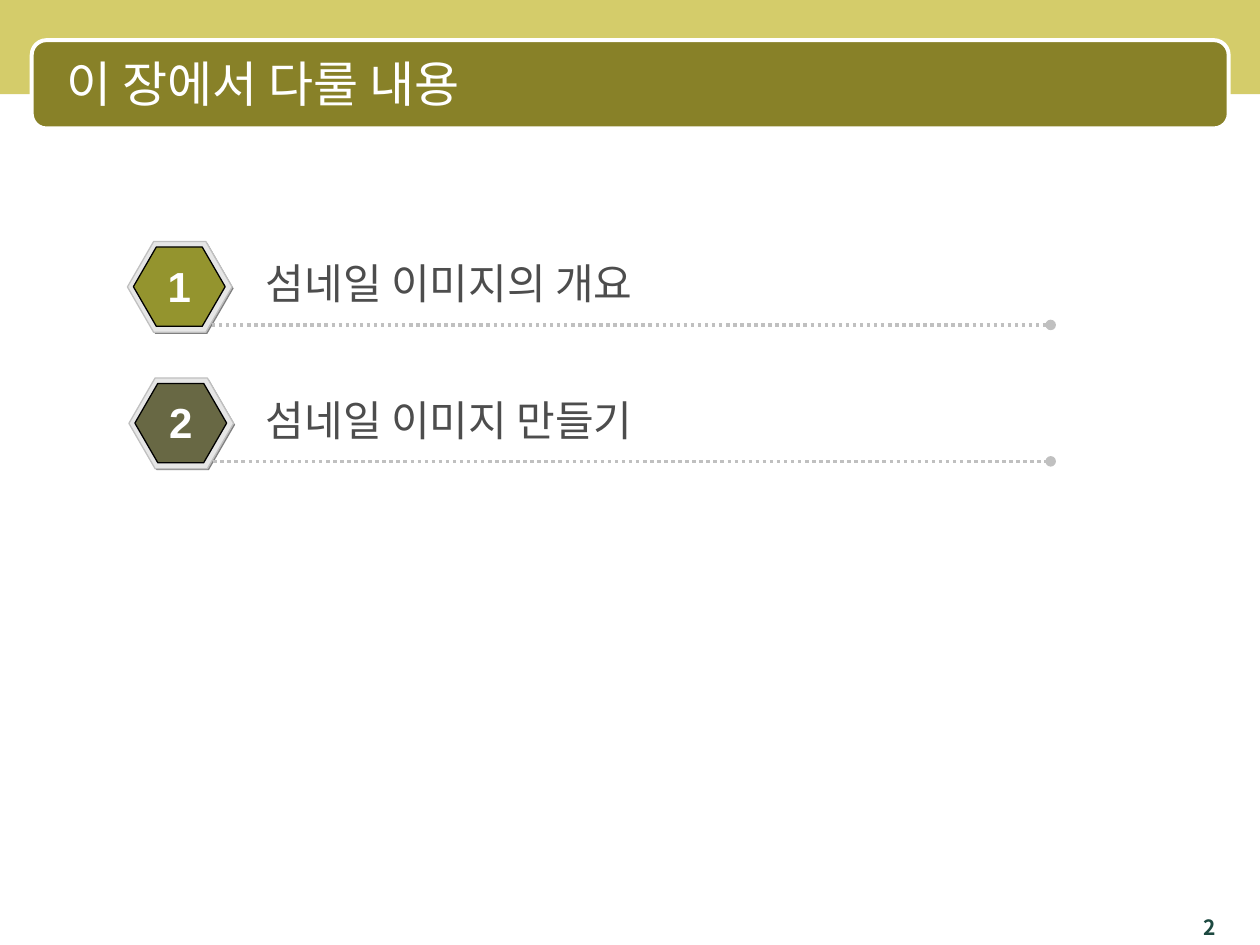
from dataclasses import dataclass

from lxml.etree import SubElement
from pptx import Presentation
from pptx.dml.color import RGBColor as Rgb
from pptx.enum.dml import MSO_LINE as Dash
from pptx.enum.shapes import MSO_CONNECTOR as Conn, MSO_SHAPE as Kind
from pptx.enum.text import MSO_ANCHOR as Anchor, PP_ALIGN as Align
from pptx.oxml.ns import qn
from pptx.util import Cm, Pt


@dataclass(frozen=True)
class Theme:
    band: str = "D4CC6A"
    bar: str = "888128"
    white: str = "FFFFFF"
    black: str = "000000"
    shade: str = "808080"
    face: str = "E6E6E6"
    rule: str = "C0C0C0"
    text: str = "4D4D4D"
    page: str = "1D4940"
    olive: str = "808000"
    moss: str = "333300"
    font: str = "Noto Sans CJK KR"
    digit: str = "Arial"
    head: int = 28
    body: int = 24
    foot: int = 12


class Deck:
    def __init__(self, theme):
        self.theme = theme
        self.prs = Presentation()
        self.prs.slide_width, self.prs.slide_height = Cm(25.4), Cm(19.05)
        self.slide = self.prs.slides.add_slide(self.prs.slide_layouts[6])

    def shape(self, kind, box, fill, line=None, width=0.75, adj=None, alpha=None):
        item = self.slide.shapes.add_shape(kind, *map(Cm, box))
        item.shadow.inherit = False
        item.fill.solid()
        item.fill.fore_color.rgb = Rgb.from_string(fill)
        if alpha:
            color = item.fill._xPr.find(qn("a:solidFill"))[0]
            SubElement(color, qn("a:alpha")).set("val", str(alpha * 1000))
        if line:
            item.line.color.rgb = Rgb.from_string(line)
            item.line.width = Pt(width)
        else:
            item.line.fill.background()
        if adj:
            item.adjustments[0] = adj

    def rule(self, left, right, y):
        item = self.slide.shapes.add_connector(
            Conn.STRAIGHT, Cm(left), Cm(y), Cm(right), Cm(y))
        item.line.color.rgb = Rgb.from_string(self.theme.rule)
        item.line.width = Pt(2)
        item.line.dash_style = Dash.ROUND_DOT
        SubElement(item.line._get_or_add_ln(), qn("a:tailEnd")).set("type", "oval")
        SubElement(item._element.spPr, qn("a:effectLst"))

    def text(self, box, words, size, color, font=None, bold=False,
             align=Align.LEFT, anchor=Anchor.TOP, wrap=True):
        frame = self.slide.shapes.add_textbox(*map(Cm, box)).text_frame
        frame.word_wrap = wrap
        frame.vertical_anchor = anchor
        para = frame.paragraphs[0]
        para.text = words
        para.alignment = align
        face = font or self.theme.font
        para.font.name = face
        para.font.size = Pt(size)
        para.font.bold = bold
        para.font.color.rgb = Rgb.from_string(color)
        # East Asian letters need their own font entry
        props = para._p.get_or_add_pPr().get_or_add_defRPr()
        SubElement(props, qn("a:ea")).set("typeface", face)

    def badge(self, x, y, fill, alpha):
        look, hexa = self.theme, Kind.HEXAGON
        self.shape(hexa, (x + 0.03, y + 0.03, 2.11, 1.83), look.shade, adj=0.289)
        self.shape(hexa, (x, y, 2.11, 1.83), look.face, look.rule, adj=0.289)
        self.shape(hexa, (x + 0.12, y + 0.11, 1.85, 1.6), fill, look.black,
                   adj=0.289, alpha=alpha)

    def topic(self, num, x, y, words, fill, alpha):
        look = self.theme
        self.badge(x, y, fill, alpha)
        self.rule(x + 1.7, 21.18, y + 1.68)
        self.text((5.11, y + 0.2, 15.88, 1.27), words, look.body, look.text)
        self.text((x + 0.56, y + 0.25, 0.97, 1.27), str(num), look.body, look.white,
                  font=look.digit, bold=True, align=Align.CENTER, wrap=False)


def main():
    look = Theme()
    deck = Deck(look)

    # Header
    deck.shape(Kind.RECTANGLE, (0, 0, 25.4, 1.9), look.band)
    deck.shape(Kind.ROUNDED_RECTANGLE, (0.64, 0.81, 24.13, 1.78), look.bar,
               look.white, 2.25, adj=0.167)
    deck.text((1.09, 0.89, 23.45, 1.57), "이 장에서 다룰 내용", look.head,
              look.white, anchor=Anchor.MIDDLE)

    # Topics
    topics = [("섬네일 이미지의 개요", look.olive, 80),
              ("섬네일 이미지 만들기", look.moss, 70)]
    for i, (words, fill, alpha) in enumerate(topics):
        deck.topic(i + 1, 2.57 + 0.03 * i, 4.87 + 2.75 * i, words, fill, alpha)

    # Page number
    deck.text((22.43, 18.31, 2.34, 0.74), "2", look.foot, look.page,
              bold=True, align=Align.RIGHT)

    deck.prs.save("out.pptx")


if __name__ == "__main__":
    main()
